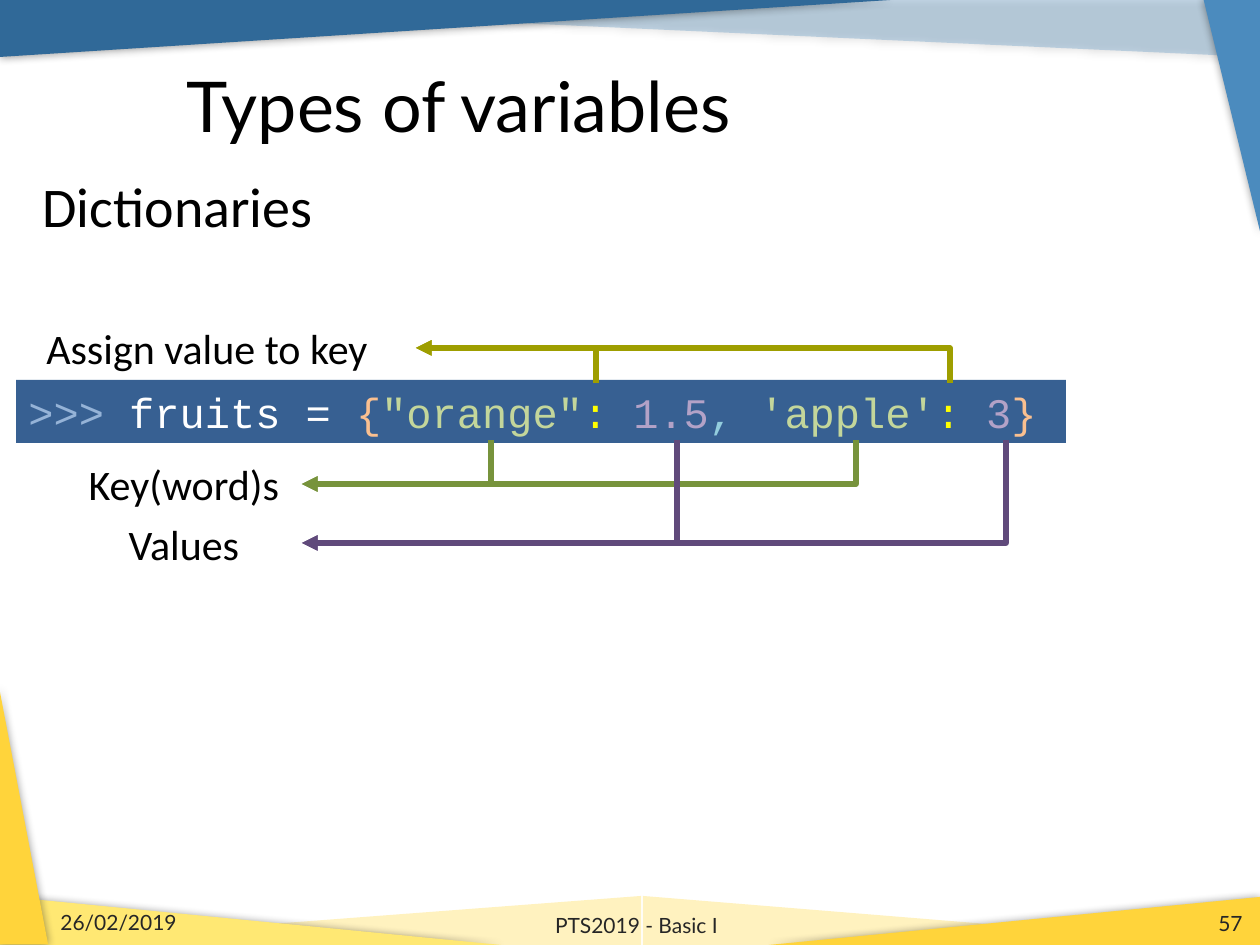
from lxml import etree
from pptx import Presentation
from pptx import util as u
from pptx.dml.color import RGBColor
from pptx.enum import shapes, text
from pptx.oxml import parse_xml
from pptx.oxml.ns import nsdecls, qn

PX = 914400 / 126
BLACK = RGBColor(0x00, 0x00, 0x00)
GREY = RGBColor(0x26, 0x26, 0x26)
WHITE = RGBColor(0xFF, 0xFF, 0xFF)
NAVY = RGBColor(0x30, 0x69, 0x98)
BLUE = RGBColor(0x4B, 0x8B, 0xBE)
GOLD = RGBColor(0xFF, 0xD4, 0x3B)
YELLOW = RGBColor(0xFF, 0xE8, 0x73)
CREAM = RGBColor(0xFF, 0xF2, 0xBF)
CODE_BG = RGBColor(0x37, 0x60, 0x92)
PROMPT = RGBColor(0x95, 0xB3, 0xD7)
BRACE = RGBColor(0xFA, 0xC0, 0x90)
KEY = RGBColor(0xC3, 0xD6, 0x9B)
COLON = RGBColor(0xFF, 0xFF, 0x00)
VALUE = RGBColor(0xB3, 0xA2, 0xC7)
COMMA = RGBColor(0x93, 0xCD, 0xDD)
GREEN = RGBColor(0x77, 0x93, 0x3C)
PURPLE = RGBColor(0x60, 0x4A, 0x7B)
OLIVE = RGBColor(0x9E, 0x9E, 0x00)
LEFT, CENTER, RIGHT = text.PP_ALIGN.LEFT, text.PP_ALIGN.CENTER, text.PP_ALIGN.RIGHT
TOP, MIDDLE = text.MSO_ANCHOR.TOP, text.MSO_ANCHOR.MIDDLE


def emu(*lengths):
    return [u.Emu(round(n * PX)) for n in lengths]


def write(sp, runs, font, size, align=LEFT, anchor=TOP, wrap=True):
    tf = sp.text_frame
    frame = {"word_wrap": wrap, "vertical_anchor": anchor, "auto_size": text.MSO_AUTO_SIZE.NONE}
    for name, value in frame.items():
        setattr(tf, name, value)
    p = tf.paragraphs[0]
    p.alignment = align
    for words, color in runs:
        r = p.add_run()
        r.text = words
        for name, value in {"name": font, "size": u.Pt(size)}.items():
            setattr(r.font, name, value)
        r.font.color.rgb = color


prs = Presentation()
prs.slide_width, prs.slide_height = emu(1260, 945)
s = prs.slides.add_slide(prs.slide_layouts[5])

triangles = [
    ((16, 0, 1241, 57), BLUE, 180, "h", True, 30),
    ((643, 896, 602, 49), CREAM, 0, "h", False, 100),
    ((-5, 896, 646, 49), CREAM, 0, "", False, 100),
    ((0, 896, 501, 49), YELLOW, 0, "h", True, 100),
    ((769, 897, 491, 48), GOLD, 0, "", True, 100),
    ((0, 0, 891, 57), NAVY, 0, "hv", True, 100),
    ((1115, 88, 234, 57), BLUE, 90, "hv", True, 100),
    ((-105, 791, 257, 49), GOLD, 90, "", True, 100),
]
for box, color, angle, flips, shadowed, opacity in triangles:
    sp = s.shapes.add_shape(shapes.MSO_SHAPE.ISOSCELES_TRIANGLE, *emu(*box))
    sp.adjustments[0] = 1
    sp.rotation = angle
    sp.fill.solid()
    sp.fill.fore_color.rgb = color
    sp.line.fill.background()
    sp.shadow.inherit = False
    spPr = sp.element.spPr
    for flip in flips:
        spPr.find(qn("a:xfrm")).set("flip" + flip.upper(), "1")
    if opacity < 100:
        tint = spPr.find(qn("a:solidFill"))[0]
        etree.SubElement(tint, qn("a:alpha")).set("val", str(opacity * 1000))
    if shadowed:
        spPr.find(qn("a:effectLst")).append(parse_xml(
            f'<a:outerShdw {nsdecls("a")} blurRad="63500" dist="0" dir="0">'
            '<a:srgbClr val="000000"><a:alpha val="40000"/></a:srgbClr></a:outerShdw>'))

title = s.shapes.title
title.left, title.top, title.width, title.height = emu(174, 55, 1023, 100)
write(title, [("Types of variables", BLACK)], "Lato", 40, anchor=MIDDLE)

code = s.shapes.add_shape(shapes.MSO_SHAPE.RECTANGLE, *emu(16, 380, 1050, 63))
code.fill.solid()
code.fill.fore_color.rgb = CODE_BG
code.line.fill.background()
code.shadow.inherit = False
write(code, [
    (">>>", PROMPT), (" fruits = ", WHITE), ("{", BRACE),
    ('"orange"', KEY), (": ", COLON), ("1.5", VALUE), (", ", COMMA),
    ("'apple'", KEY), (": ", COLON), ("3", VALUE), ("}", BRACE),
], "Courier New", 24)

labels = [
    ("Dictionaries", (30, 165, 307, 63), "Calibri", 32, BLACK, LEFT, TOP, False),
    ("Key(word)s", (-25, 452, 418, 63), "Calibri", 24, BLACK, CENTER, TOP, True),
    ("Values", (-25, 512, 418, 63), "Calibri", 24, BLACK, CENTER, TOP, True),
    ("Assign value to key", (-2, 316, 418, 63), "Calibri", 24, BLACK, CENTER, TOP, True),
    ("26/02/2019", (48, 908, 294, 29), "Lato", 12, GREY, LEFT, MIDDLE, True),
    ("PTS2019 - Basic I", (437, 900, 399, 50), "Lato", 12, GREY, CENTER, MIDDLE, True),
    ("57", (961, 908, 294, 30), "Lato", 12, GREY, RIGHT, MIDDLE, True),
]
for words, box, font, size, color, align, anchor, wrap in labels:
    sp = s.shapes.add_textbox(*emu(*box))
    write(sp, [(words, color)], font, size, align, anchor, wrap)

arrows = [
    (GREEN, (491, 856), 440, (302, 484)),
    (PURPLE, (1006, 677), 440, (302, 543)),
    (OLIVE, (596, 950), 383, (416, 348)),
]
for color, starts, y, tip in arrows:
    for x in starts:
        c = s.shapes.add_connector(shapes.MSO_CONNECTOR.ELBOW, *emu(x, y, *tip))
        c.line.color.rgb = color
        c.line.width = u.Pt(3)
        spPr = c.element.spPr
        guides = spPr.find(qn("a:prstGeom")).get_or_add_avLst()
        gd = etree.SubElement(guides, qn("a:gd"))
        gd.set("name", "adj1")
        gd.set("fmla", "val 0")
        etree.SubElement(c.line._get_or_add_ln(), qn("a:tailEnd")).set("type", "triangle")
        etree.SubElement(spPr, qn("a:effectLst"))

prs.save("out.pptx")
